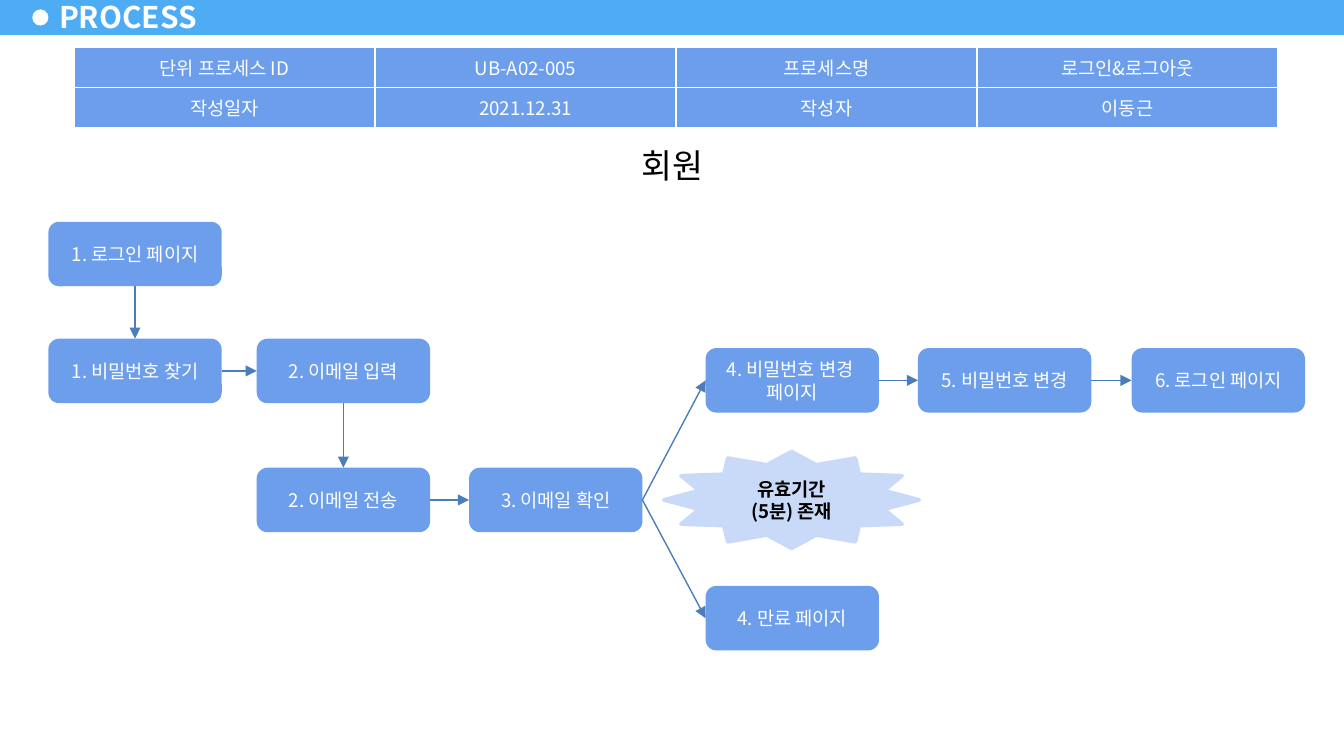
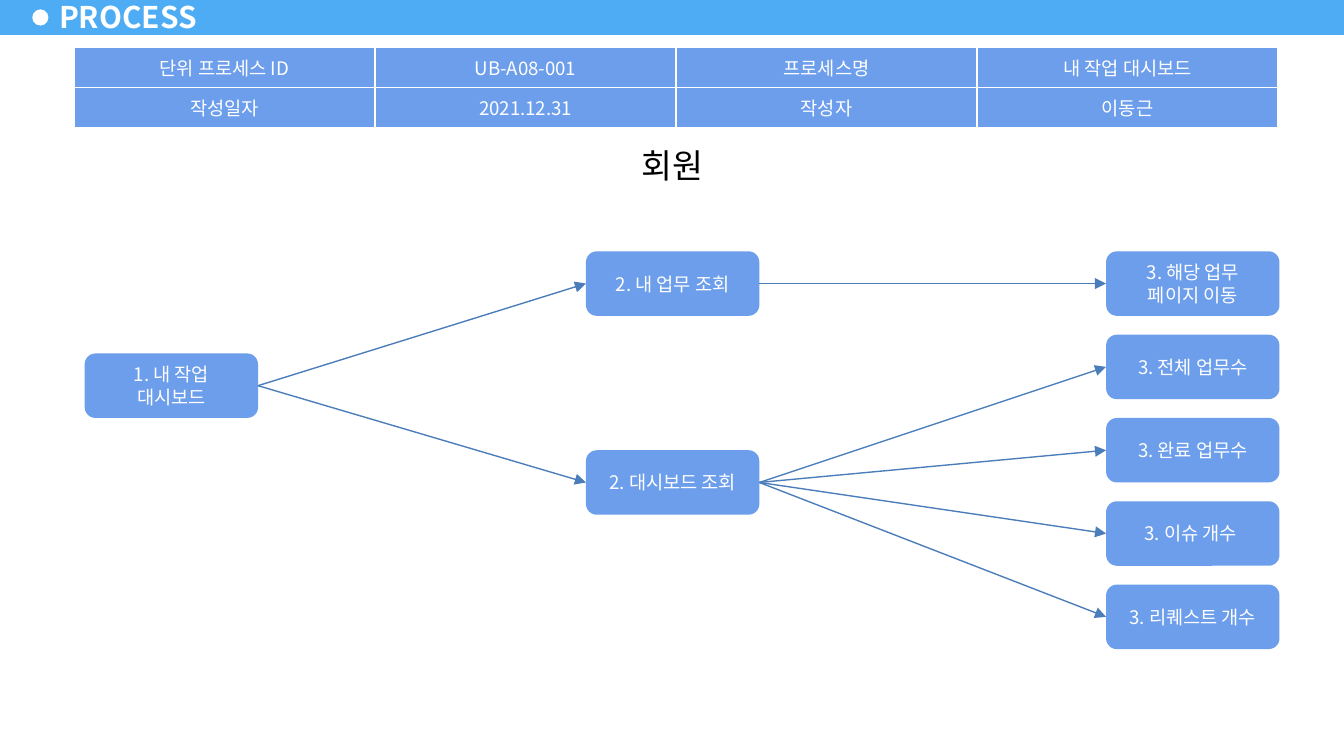
from pptx import Presentation
from pptx.dml.color import RGBColor
from pptx.enum import shapes, text
from pptx.oxml import parse_xml
from pptx.oxml import ns
from pptx.util import Inches, Pt

FONT = "Noto Sans CJK KR"
HUES = {"band": "4DACF3", "box": "6D9EEB", "line": "4A7DBA",
        "star": "C9DAF8", "white": "FFFFFF", "black": "000000"}
KIND = shapes.MSO_SHAPE
BOX_W, BOX_H = 1.29, 0.48
ROW_H = 0.3
TOP, LEFT, BOTTOM, RIGHT = range(4)  # connection sites of a box
STEP = 0.62  # pitch of the right-hand stack on the dashboard slide

# Content: boxes as key: (left, top, lines); arrows as (from, site, to, site)
PAGES = [
    {
        "id": "UB-A02-005", "name": "로그인&로그아웃",
        "boxes": {
            "login": (0.36, 1.65, ["1. 로그인 페이지"]),
            "find": (0.36, 2.52, ["1. 비밀번호 찾기"]),
            "enter": (1.91, 2.52, ["2. 이메일 입력"]),
            "send": (1.91, 3.48, ["2. 이메일 전송"]),
            "check": (3.49, 3.48, ["3. 이메일 확인"]),
            "form": (5.25, 2.59, ["4. 비밀번호 변경 ", "페이지"]),
            "late": (5.25, 4.36, ["4. 만료 페이지"]),
            "change": (6.83, 2.59, ["5. 비밀번호 변경"]),
            "back": (8.42, 2.59, ["6. 로그인 페이지"]),
        },
        "arrows": [
            ("login", BOTTOM, "find", TOP),
            ("find", RIGHT, "enter", LEFT),
            ("enter", BOTTOM, "send", TOP),
            ("send", RIGHT, "check", LEFT),
            ("check", RIGHT, "form", LEFT),
            ("check", RIGHT, "late", LEFT),
            ("form", RIGHT, "change", LEFT),
            ("change", RIGHT, "back", LEFT),
        ],
        "star": (4.94, 3.36, 1.9, 0.72, ["유효기간", "(5분) 존재"]),
    },
    {
        "id": "UB-A08-001", "name": "내 작업 대시보드",
        "boxes": {
            "mine": (0.63, 2.63, ["1. 내 작업 대시보드"]),
            "tasks": (4.36, 1.87, ["2. 내 업무 조회"]),
            "board": (4.36, 3.35, ["2. 대시보드 조회"]),
            **{key: (8.23, 1.87 + STEP * i, [line]) for i, (key, line) in enumerate([
                ("page", "3. 해당 업무 페이지 이동"),
                ("all", "3. 전체 업무수"),
                ("done", "3. 완료 업무수"),
                ("issue", "3. 이슈 개수 "),
                ("request", "3. 리퀘스트 개수"),
            ])},
        },
        "arrows": [
            ("mine", RIGHT, "tasks", LEFT),
            ("mine", RIGHT, "board", LEFT),
            ("tasks", RIGHT, "page", LEFT),
            *[("board", RIGHT, key, LEFT) for key in ("all", "done", "issue", "request")],
        ],
    },
]


def hue(key):
    return RGBColor.from_string(HUES[key])


def write(frame, lines, size, color, bold=False, align=text.PP_ALIGN.CENTER,
          anchor=text.MSO_ANCHOR.MIDDLE):
    frame.vertical_anchor = anchor
    for i, line in enumerate(lines):
        para = frame.paragraphs[0] if i == 0 else frame.add_paragraph()
        para.alignment = align
        run = para.add_run()
        run.text = line
        font = run.font
        font.size, font.bold, font.name = Pt(size), bold, FONT
        font.color.rgb = hue(color)
        props = run._r.get_or_add_rPr()
        props.append(parse_xml(f'<a:ea {ns.nsdecls("a")} typeface="{FONT}"/>'))


def shape(slide, kind, at, fill, line=None):
    item = slide.shapes.add_shape(kind, *map(Inches, at))
    item.shadow.inherit = False
    item.fill.solid()
    item.fill.fore_color.rgb = hue(fill)
    if line:
        item.line.color.rgb = hue(line)
        item.line.width = Pt(2)
    else:
        item.line.fill.background()
    frame = item.text_frame
    frame.word_wrap = True
    frame.margin_left = frame.margin_right = Inches(0.1)
    return item


def arrow(slide, start, out, end, into):
    link = slide.shapes.add_connector(shapes.MSO_CONNECTOR.STRAIGHT, 0, 0, 0, 0)
    link.begin_connect(start, out)
    link.end_connect(end, into)
    link.line.color.rgb = hue("line")
    link.line.width = Pt(0.75)
    link.line._get_or_add_ln().append(
        parse_xml(f'<a:tailEnd {ns.nsdecls("a")} type="triangle"/>'))
    link._element.spPr.append(parse_xml(f'<a:effectLst {ns.nsdecls("a")}/>'))


def header(slide):
    shape(slide, KIND.RECTANGLE, (0, -0.02, 10, 0.28), "band")
    shape(slide, KIND.OVAL, (0.24, 0.07, 0.12, 0.12), "white")
    title = slide.shapes.add_textbox(*map(Inches, (0.35, -0.04, 1.22, 0.32)))
    frame = title.text_frame
    frame.margin_left = frame.margin_right = Inches(0.09)
    frame.margin_top = frame.margin_bottom = Inches(0.04)
    write(frame, ["PROCESS"], 16, "white", True, text.PP_ALIGN.LEFT)


def info(slide, page):
    rows = [["단위 프로세스 ID", page["id"], "프로세스명", page["name"]],
            ["작성일자", "2021.12.31", "작성자", "이동근"]]
    table = slide.shapes.add_table(
        2, 4, *map(Inches, (0.55, 0.35, 8.96, 2 * ROW_H))).table
    table.first_row = table.horz_banding = False
    for r, row in enumerate(rows):
        for c, word in enumerate(row):
            cell = table.cell(r, c)
            write(cell.text_frame, [word], 10, "white")
            cell.vertical_anchor = text.MSO_ANCHOR.MIDDLE
            props = cell._tc.get_or_add_tcPr()
            for side in "LRTB":
                props.append(parse_xml(
                    f'<a:ln{side} {ns.nsdecls("a")} w="{Pt(1)}"><a:solidFill>'
                    f'<a:srgbClr val="{HUES["white"]}"/></a:solidFill></a:ln{side}>'))
            cell.fill.solid()
            cell.fill.fore_color.rgb = hue("box")


def build(slide, page):
    header(slide)
    info(slide, page)

    # Role heading
    role = shape(slide, KIND.RECTANGLE, (3.97, 1.03, 2.07, 0.41), "white")
    write(role.text_frame, ["회원"], 18, "black", anchor=text.MSO_ANCHOR.TOP)

    # Flow boxes and arrows
    nodes = {}
    for key, (left, top, lines) in page["boxes"].items():
        box = shape(slide, KIND.ROUNDED_RECTANGLE, (left, top, BOX_W, BOX_H), "box")
        write(box.text_frame, lines, 10, "white")
        nodes[key] = box
    for start, out, end, into in page["arrows"]:
        arrow(slide, nodes[start], out, nodes[end], into)

    # Time limit note
    if "star" in page:
        *at, lines = page["star"]
        star = shape(slide, KIND.STAR_12_POINT, at, "star", "star")
        write(star.text_frame, lines, 10, "black", True)


def main():
    deck = Presentation()
    deck.slide_width = Inches(10)
    deck.slide_height = deck.slide_width * 9 // 16
    for page in PAGES:
        build(deck.slides.add_slide(deck.slide_layouts[6]), page)
    deck.save("out.pptx")


if __name__ == "__main__":
    main()
